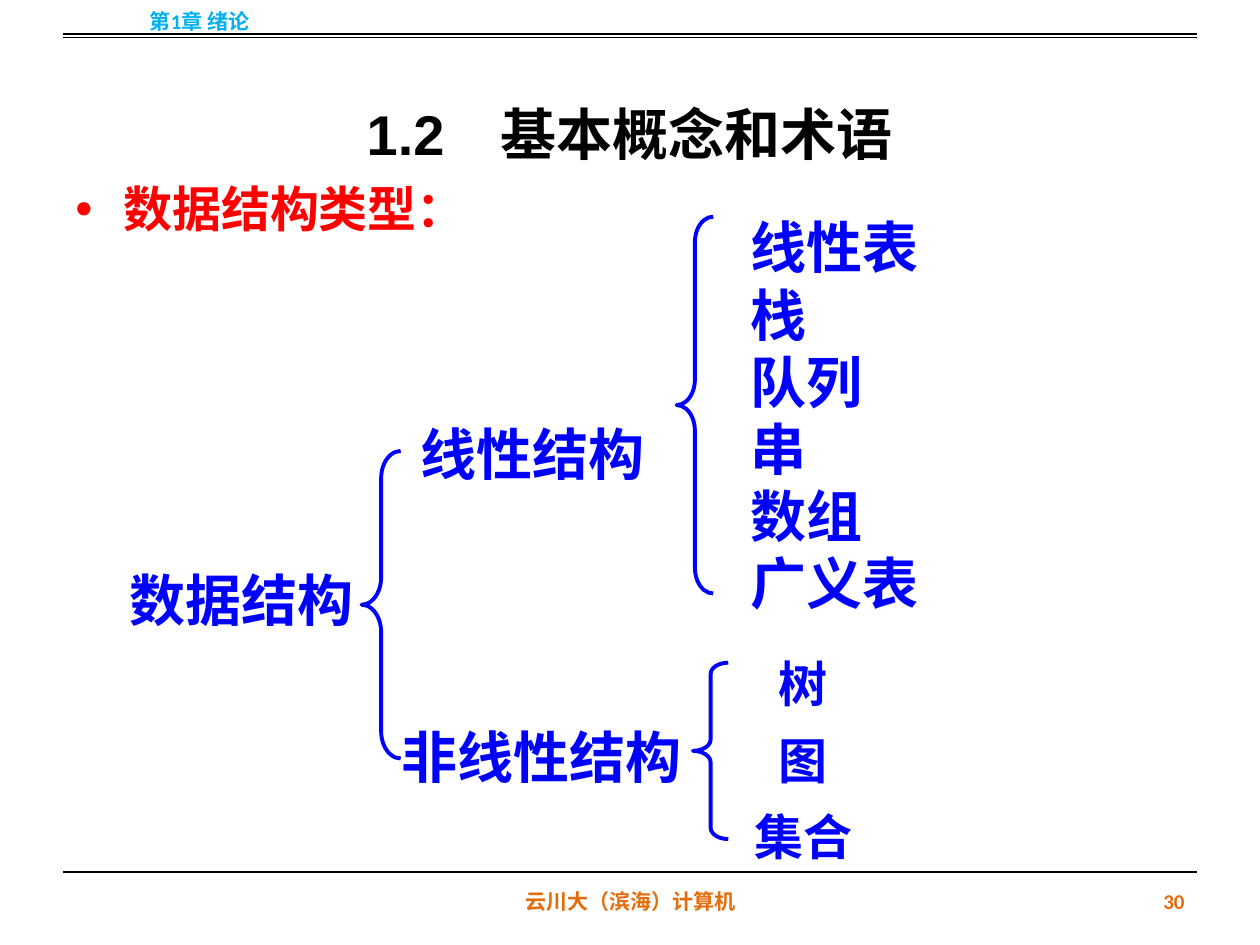
from typing import NamedTuple

from lxml import etree
from pptx import Presentation
from pptx import util as u
from pptx.dml.color import RGBColor
from pptx.enum import shapes, text
from pptx.oxml import ns

BLACK = RGBColor(0x00, 0x00, 0x00)
RED = RGBColor(0xFF, 0x00, 0x00)
BLUE = RGBColor(0x00, 0x00, 0xFF)
SKY = RGBColor(0x00, 0xB0, 0xF0)
RUST = RGBColor(0xE4, 0x6C, 0x0A)

WIDE, HIGH = u.Inches(10), u.Inches(7.5)
COLS, ROWS = 100, 75
LEFT, MID, RIGHT = text.PP_ALIGN.LEFT, text.PP_ALIGN.CENTER, text.PP_ALIGN.RIGHT
TOP, CORE = text.MSO_ANCHOR.TOP, text.MSO_ANCHOR.MIDDLE


class Box(NamedTuple):
    col: float
    row: float
    cols: float
    rows: float


class Brace(NamedTuple):
    box: Box
    curl: float


class Node(NamedTuple):
    box: Box
    words: str
    size: float = 32
    font: str = "Times New Roman"
    align: text.PP_ALIGN = LEFT
    lead: float = 1.0


RULES = (2.7, 3, 69.2)
BRACES = (
    Brace(Box(55, 52.6, 2.8, 14), 0.32),
    Brace(Box(53.7, 17.2, 2.9, 29.9), 0.7),
    Brace(Box(28.7, 35.8, 3.1, 24.4), 0.7),
)
NODES = (
    Node(Box(9.2, 44.4, 20, 6.4), "数据结构", align=MID),
    Node(Box(32.4, 32.8, 22.8, 6.4), "线性结构"),
    Node(Box(30.9, 52.6, 24.5, 10.7), "非线性结构", lead=1.8),
    Node(Box(58.6, 16.4, 24, 33.3), "线性表\n栈\n队列\n串\n数组\n广义表",
         font="Noto Sans CJK SC"),
    Node(Box(58.8, 50, 9.9, 19.4), "树\n图\n集合", size=28, align=MID, lead=1.3),
)


def across(cols: float) -> int:
    return round(WIDE * cols / COLS)


def down(rows: float) -> int:
    return round(HIGH * rows / ROWS)


def place(box: Box) -> tuple[int, int, int, int]:
    return across(box.col), down(box.row), across(box.cols), down(box.rows)


def write(slide, box: Box, words: str, *, size: float, font: str,
          color: RGBColor, align=LEFT, anchor=TOP, lead=1.0, space=0.0,
          bullet: str = "") -> None:
    frame = slide.shapes.add_textbox(*place(box)).text_frame
    frame.word_wrap = True
    frame.vertical_anchor = anchor
    frame.text = words
    for para in frame.paragraphs:
        para.alignment = align
        para.line_spacing = lead
        para.space_before = u.Pt(space)
        if bullet:
            props = para._p.get_or_add_pPr()
            props.set("marL", str(across(3.8)))
            props.set("indent", str(-across(3.8)))
            face = etree.SubElement(props, ns.qn("a:buFont"))
            face.set("typeface", "Arial")
            mark = etree.SubElement(props, ns.qn("a:buChar"))
            mark.set("char", bullet)
        for run in para.runs:
            run.font.size = u.Pt(size)
            run.font.name = font
            run.font.bold = True
            run.font.color.rgb = color


def rule(slide, row: float) -> None:
    line = slide.shapes.add_connector(
        shapes.MSO_CONNECTOR.STRAIGHT,
        across(5), down(row), across(95), down(row))
    line.line.color.rgb = BLACK
    line.line.width = u.Pt(0.75)
    etree.SubElement(line._element.spPr, ns.qn("a:effectLst"))


def brace(slide, item: Brace) -> None:
    shape = slide.shapes.add_shape(
        shapes.MSO_SHAPE.LEFT_BRACE, *place(item.box))
    shape.adjustments[0] = item.curl
    shape.adjustments[1] = 0.5
    shape.shadow.inherit = False
    shape.fill.background()
    shape.line.color.rgb = BLUE
    shape.line.width = u.Pt(2.25)


def main() -> None:
    deck = Presentation()
    deck.slide_width, deck.slide_height = WIDE, HIGH
    slide = deck.slides.add_slide(deck.slide_layouts[6])

    for row in RULES:
        rule(slide, row)
    write(slide, Box(0, -0.3, 31.7, 4), "第1章 绪论", size=12,
          font="Calibri", color=SKY, align=MID, anchor=CORE)
    write(slide, Box(5, 3, 90, 12.5), "1.2　基本概念和术语", size=32,
          font="Arial", color=BLACK, align=MID, anchor=CORE, lead=1.5)
    write(slide, Box(5, 14.2, 90, 6), "数据结构类型：", size=28,
          font="Calibri", color=RED, lead=u.Pt(30), space=5.6, bullet="•")
    write(slide, Box(34.2, 69.5, 31.7, 4), "云川大（滨海）计算机", size=12,
          font="Calibri", color=RUST, align=MID, anchor=CORE)
    write(slide, Box(71.7, 69.5, 23.3, 4), "30", size=12,
          font="Calibri", color=RUST, align=RIGHT, anchor=CORE)

    for item in BRACES:
        brace(slide, item)
    for node in NODES:
        write(slide, node.box, node.words, size=node.size, font=node.font,
              color=BLUE, align=node.align, lead=node.lead)

    deck.save("out.pptx")


if __name__ == "__main__":
    main()
